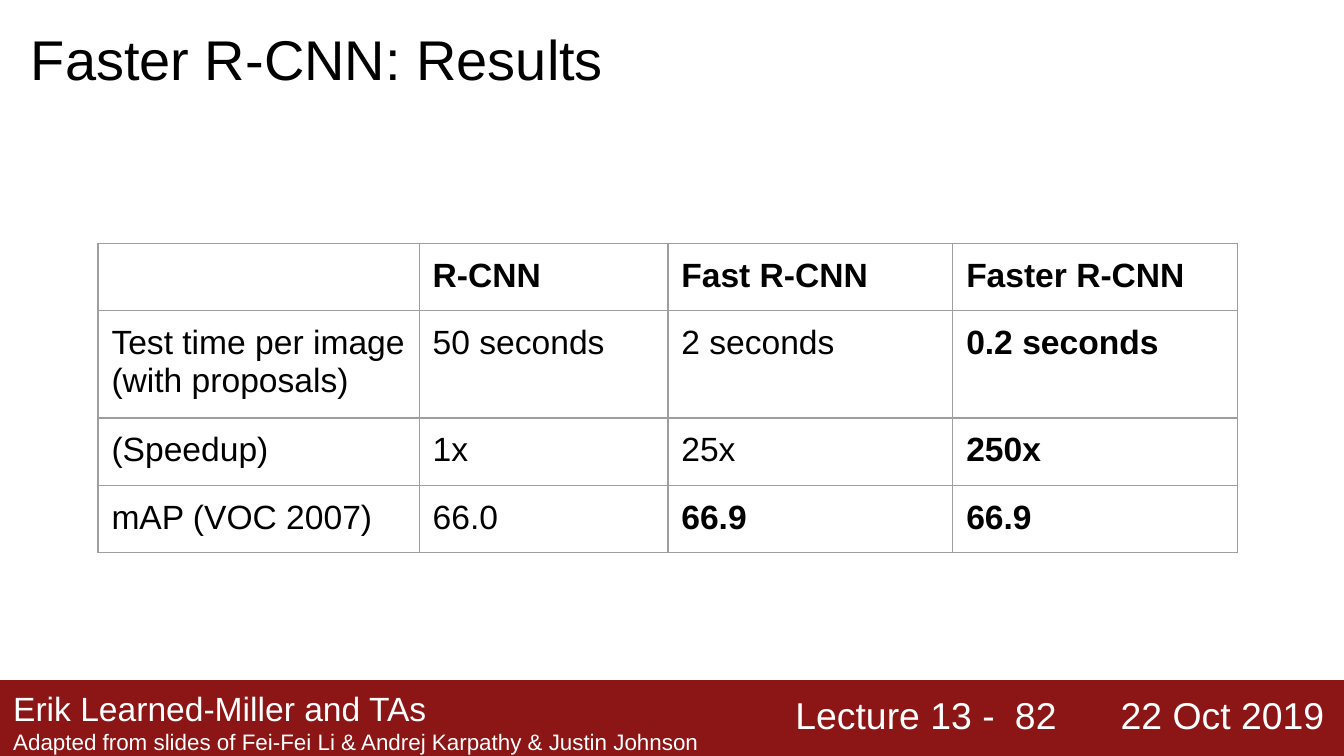
from lxml.etree import SubElement
from pptx import Presentation
from pptx.dml.color import RGBColor
from pptx.enum.shapes import MSO_SHAPE
from pptx.enum.text import MSO_ANCHOR, MSO_AUTO_SIZE, PP_ALIGN
from pptx.oxml.ns import qn
from pptx.util import Inches, Pt

BLACK = RGBColor(0x00, 0x00, 0x00)
WHITE = RGBColor(0xFF, 0xFF, 0xFF)
CARDINAL = RGBColor(0x8C, 0x15, 0x15)
BORDER_GRAY = RGBColor(0x9E, 0x9E, 0x9E)
FONT_NAME = "Arial"
MARGIN = Inches(0.1)
SLIDE_WIDTH = Inches(10)
SLIDE_HEIGHT = SLIDE_WIDTH * 9 // 16

COLUMN_WIDTHS = [2.39, 1.85, 2.12, 2.12]
ROW_HEIGHT = 0.42
RESULTS = [
    ["", "R-CNN", "Fast R-CNN", "Faster R-CNN"],
    ["Test time per image\v(with proposals)", "50 seconds", "2 seconds", "0.2 seconds"],
    ["(Speedup)", "1x", "25x", "250x"],
    ["mAP (VOC 2007)", "66.0", "66.9", "66.9"],
]
BEST_RESULTS = {(1, 3), (2, 3), (3, 2), (3, 3)}


def set_font(font, size, color, bold=False):
    """Apply the slide's typeface with the given size, colour and weight."""
    font.name = FONT_NAME
    font.size = Pt(size)
    font.color.rgb = color
    font.bold = bold


def set_margins(box):
    """Give a text frame or a table cell equal margins."""
    box.margin_left = box.margin_right = MARGIN
    box.margin_top = box.margin_bottom = MARGIN


def set_title(slide, text):
    """Place and format the title placeholder."""
    title = slide.shapes.title
    title.left, title.top = Inches(0.13), Inches(0.08)
    title.width, title.height = Inches(8.42), Inches(0.69)
    frame = title.text_frame
    frame.text = text
    frame.auto_size = MSO_AUTO_SIZE.NONE
    frame.vertical_anchor = MSO_ANCHOR.TOP
    set_margins(frame)
    paragraph = frame.paragraphs[0]
    paragraph.alignment = PP_ALIGN.LEFT
    set_font(paragraph.font, 30, BLACK)


def add_footer_bar(slide):
    """Draw the coloured bar along the bottom edge."""
    bar = slide.shapes.add_shape(
        MSO_SHAPE.RECTANGLE, Inches(0), Inches(5.06), SLIDE_WIDTH, Inches(0.58))
    bar.shadow.inherit = False
    bar.fill.solid()
    bar.fill.fore_color.rgb = CARDINAL
    bar.line.fill.background()


def add_footer_text(slide, text, left, top, width, height, size=20):
    """Add white footer text and return its shape."""
    shape = slide.shapes.add_textbox(
        Inches(left), Inches(top), Inches(width), Inches(height))
    frame = shape.text_frame
    frame.word_wrap = True
    set_margins(frame)
    frame.text = text
    set_font(frame.paragraphs[0].font, size, WHITE)
    return shape


def add_footer(slide):
    """Add the bar, credits, lecture, page number and date."""
    add_footer_bar(slide)
    add_footer_text(slide, "Lecture 13 -", 5.82, 5.05, 3.83, 0.59)
    add_footer_text(slide, "22 Oct 2019", 8.24, 5.05, 3.83, 0.59)
    credits = add_footer_text(
        slide, "Erik Learned-Miller and TAs", 0, 5.02, 5.74, 0.59, 18)
    paragraph = credits.text_frame.paragraphs[0]
    paragraph.add_line_break()
    source = paragraph.add_run()
    source.text = "Adapted from slides of Fei-Fei Li & Andrej Karpathy & Justin Johnson"
    source.font.size = Pt(12)
    number = add_footer_text(slide, "82", 7.36, 5.1, 0.6, 0.43)
    number.text_frame.vertical_anchor = MSO_ANCHOR.MIDDLE
    number.text_frame.paragraphs[0].alignment = PP_ALIGN.RIGHT


def set_borders(cell):
    """Give a cell thin gray borders on all four sides."""
    properties = cell._tc.get_or_add_tcPr()
    for side in ("a:lnL", "a:lnR", "a:lnT", "a:lnB"):
        line = SubElement(properties, qn(side), w=str(Pt(0.75)))
        fill = SubElement(line, qn("a:solidFill"))
        SubElement(fill, qn("a:srgbClr"), val=str(BORDER_GRAY))


def format_cell(cell, text, bold):
    """Fill in one table cell."""
    cell.text = text
    set_margins(cell)
    set_borders(cell)
    cell.fill.background()
    set_font(cell.text_frame.paragraphs[0].font, 18, BLACK, bold)


def add_results_table(slide):
    """Add the table that compares the detectors."""
    table = slide.shapes.add_table(
        len(RESULTS), len(COLUMN_WIDTHS), Inches(0.73), Inches(1.81),
        Inches(sum(COLUMN_WIDTHS)), Inches(ROW_HEIGHT * len(RESULTS))).table
    table.first_row = table.horz_banding = False
    for column, width in zip(table.columns, COLUMN_WIDTHS):
        column.width = Inches(width)
    for row_index, values in enumerate(RESULTS):
        for column_index, text in enumerate(values):
            bold = row_index == 0 or (row_index, column_index) in BEST_RESULTS
            format_cell(table.cell(row_index, column_index), text, bold)


def main():
    """Build and save the results slide."""
    presentation = Presentation()
    presentation.slide_width = SLIDE_WIDTH
    presentation.slide_height = SLIDE_HEIGHT
    slide = presentation.slides.add_slide(presentation.slide_layouts[5])
    add_footer(slide)
    set_title(slide, "Faster R-CNN: Results")
    add_results_table(slide)
    presentation.save("out.pptx")


if __name__ == "__main__":
    main()
